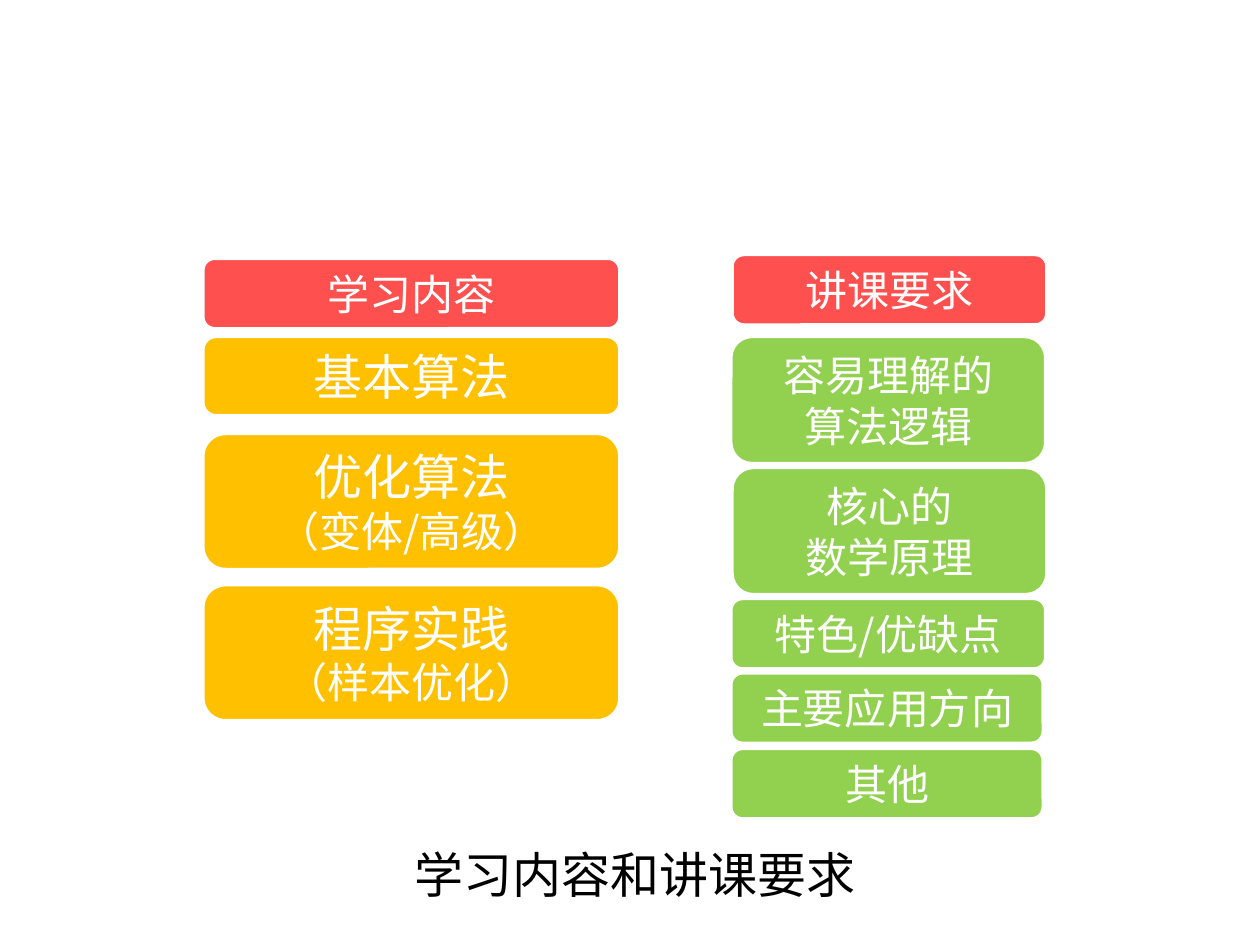
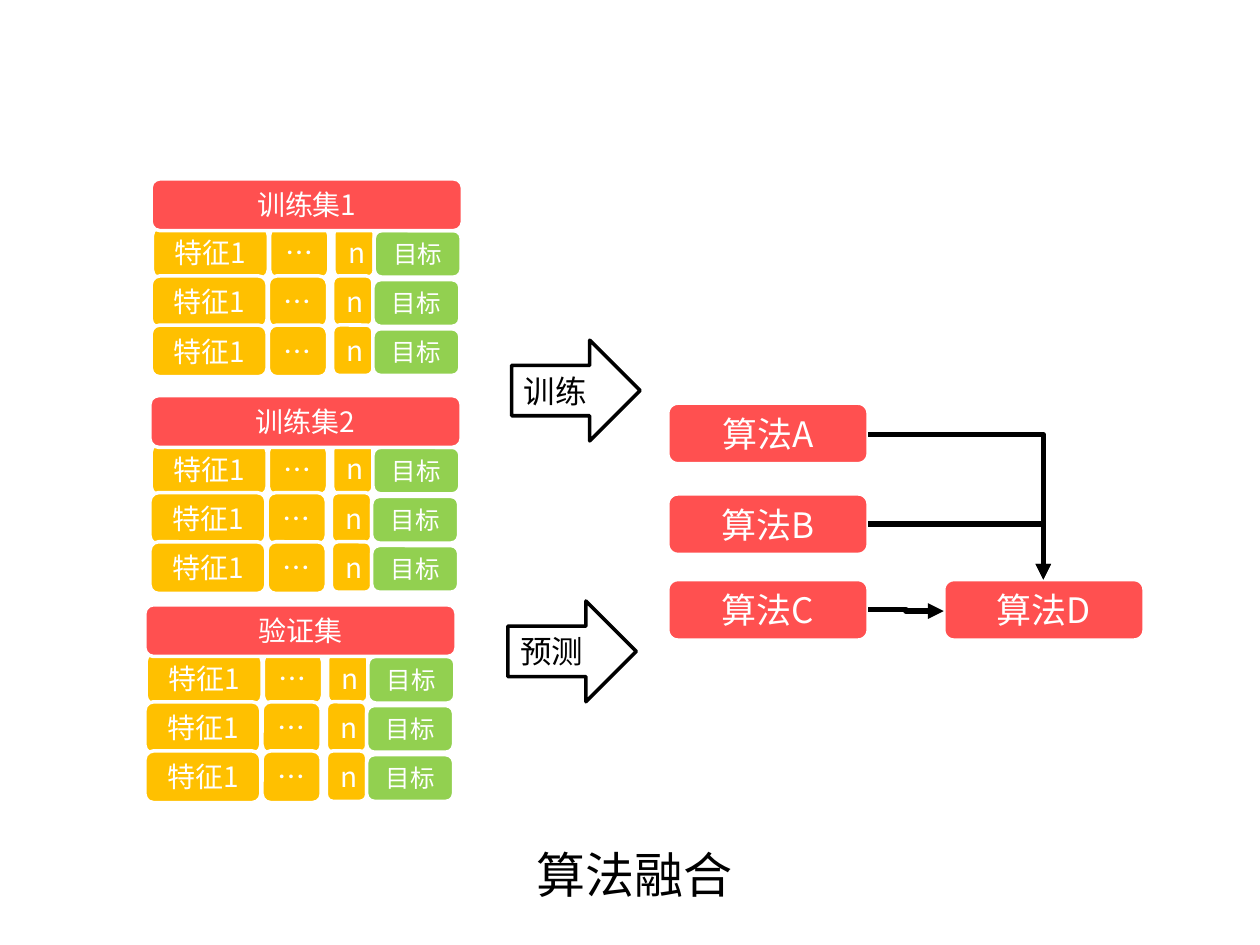
import pptx
import pptx.util
import pptx.dml.color
import pptx.enum.shapes
import pptx.enum.text
import pptx.oxml.ns
from dataclasses import dataclass
from lxml import etree

Inches, Pt = pptx.util.Inches, pptx.util.Pt
RGB = pptx.dml.color.RGBColor.from_string
MSO = pptx.enum.shapes.MSO_SHAPE
ALIGN = pptx.enum.text.PP_ALIGN
qn = pptx.oxml.ns.qn


@dataclass(frozen=True)
class Theme:
    font: str = "Noto Sans CJK SC"
    arrow_font: str = "Arial"
    red: str = "FF5050"
    yellow: str = "FFC000"
    green: str = "92D050"
    white: str = "FFFFFF"
    black: str = "000000"
    big: int = 28
    card: int = 24
    algorithm: int = 20
    arrow: int = 18
    cell: int = 16
    target: int = 14
    outline: int = 2
    flow: int = 3


T = Theme()


# Text and shapes
def write(shape, lines, sizes, color, font=T.font, align=ALIGN.CENTER, wrap=True):
    tf = shape.text_frame
    tf.text = "\n".join(lines)
    tf.word_wrap = wrap
    tf.auto_size = pptx.enum.text.MSO_AUTO_SIZE.SHAPE_TO_FIT_TEXT
    for p, size in zip(tf.paragraphs, sizes):
        p.alignment = align
        for r in p.runs:
            r.font.size = Pt(size)
            r.font.name = font
            r.font.color.rgb = RGB(color)
            ea = etree.SubElement(r._r.get_or_add_rPr(), qn("a:ea"))
            ea.set("typeface", T.font)


def add_block(s, kind, box, fill, line):
    sp = s.shapes.add_shape(kind, *map(Inches, box))
    sp.shadow.inherit = False
    sp.fill.solid()
    sp.fill.fore_color.rgb = RGB(fill)
    sp.line.color.rgb = RGB(line)
    sp.line.width = Pt(T.outline)
    return sp


def add_card(s, box, fill, lines, *sizes):
    sp = add_block(s, MSO.ROUNDED_RECTANGLE, box, fill, T.white)
    write(sp, lines, sizes, T.white)


def add_step_arrow(s, x, y, label):
    sp = add_block(s, MSO.RIGHT_ARROW, (x, y, 1.02, 0.8), T.white, T.black)
    write(sp, [label], [T.arrow], T.black, T.arrow_font, ALIGN.LEFT)


def add_caption(s, x, width, text):
    sp = s.shapes.add_textbox(Inches(x), Inches(6.65), Inches(width), Inches(0.57))
    write(sp, [text], [T.big], T.black, wrap=False)


def add_flow(s, start, end, preset):
    elbow = pptx.enum.shapes.MSO_CONNECTOR.ELBOW
    c = s.shapes.add_connector(elbow, *map(Inches, start + end))
    c.line.color.rgb = RGB(T.black)
    c.line.width = Pt(T.flow)
    props = c._element.spPr
    props.find(qn("a:prstGeom")).set("prst", preset)
    etree.SubElement(c.line._get_or_add_ln(), qn("a:tailEnd")).set("type", "triangle")
    etree.SubElement(props, qn("a:effectLst"))


# One data set: a header over three rows of features and a target
def add_data_set(s, x, y, title):
    for row in range(3):
        left = x + (0.01 if row == 0 else 0)
        top = y + 0.38 + 0.39 * row
        add_card(s, (left, top, 0.92, 0.41), T.yellow, ["特征1"], T.cell)
        add_card(s, (left + 0.93, top, 0.47, 0.41), T.yellow, ["…"], T.cell)
        add_card(s, (left + 1.44, top, 0.32, 0.4), T.yellow, ["n"], T.cell)
        add_card(s, (left + 1.76, top + 0.03, 0.69, 0.37), T.green, ["目标"], T.target)
    add_card(s, (x, y, 2.47, 0.41), T.red, [title], T.cell)


def build_course_slide(s):
    # Study topics
    add_card(s, (1.61, 2.05, 3.31, 0.56), T.red, ["学习内容"], T.card)
    for y, height, lines in [
        (2.67, 0.63, ["基本算法"]),
        (3.44, 1.08, ["优化算法", "（变体/高级）"]),
        (4.64, 1.08, ["程序实践", "（样本优化）"]),
    ]:
        add_card(s, (1.61, y, 3.31, height), T.yellow, lines, T.big, T.card)

    # Lecture requirements
    add_card(s, (5.81, 2.02, 2.5, 0.56), T.red, ["讲课要求"], T.card)
    for x, y, width, height, lines in [
        (5.8, 2.67, 2.5, 1.01, ["容易理解的", "算法逻辑"]),
        (5.81, 3.71, 2.5, 1.01, ["核心的", "数学原理"]),
        (5.8, 4.75, 2.5, 0.56, ["特色/优缺点"]),
        (5.8, 5.34, 2.48, 0.56, ["主要应用方向"]),
        (5.8, 5.94, 2.48, 0.56, ["其他"]),
    ]:
        add_card(s, (x, y, width, height), T.green, lines, T.card, T.card)
    add_caption(s, 3.17, 3.74, "学习内容和讲课要求")


def build_fusion_slide(s):
    # Algorithms A to C feed D
    for x, y, letter in [(5.3, 3.2, "A"), (5.3, 3.92, "B"),
                         (5.3, 4.6, "C"), (7.49, 4.6, "D")]:
        add_card(s, (x, y, 1.59, 0.48), T.red, ["算法" + letter], T.algorithm)
    for y in (3.45, 4.16):
        add_flow(s, (6.89, y), (8.28, 4.6), "bentConnector2")
    add_flow(s, (6.89, 4.84), (7.49, 4.85), "bentConnector3")

    # Data sets and the steps that use them
    for x, y, title in [(1.2, 1.42, "训练集1"), (1.19, 3.14, "训练集2"),
                        (1.15, 4.8, "验证集")]:
        add_data_set(s, x, y, title)
    add_step_arrow(s, 4.06, 2.7, "训练")
    add_step_arrow(s, 4.03, 4.77, "预测")
    add_caption(s, 4.15, 1.77, "算法融合")


def main():
    prs = pptx.Presentation()
    prs.slide_width, prs.slide_height = Inches(10), Inches(7.5)
    for build in (build_course_slide, build_fusion_slide):
        build(prs.slides.add_slide(prs.slide_layouts[6]))
    prs.save("out.pptx")


if __name__ == "__main__":
    main()
